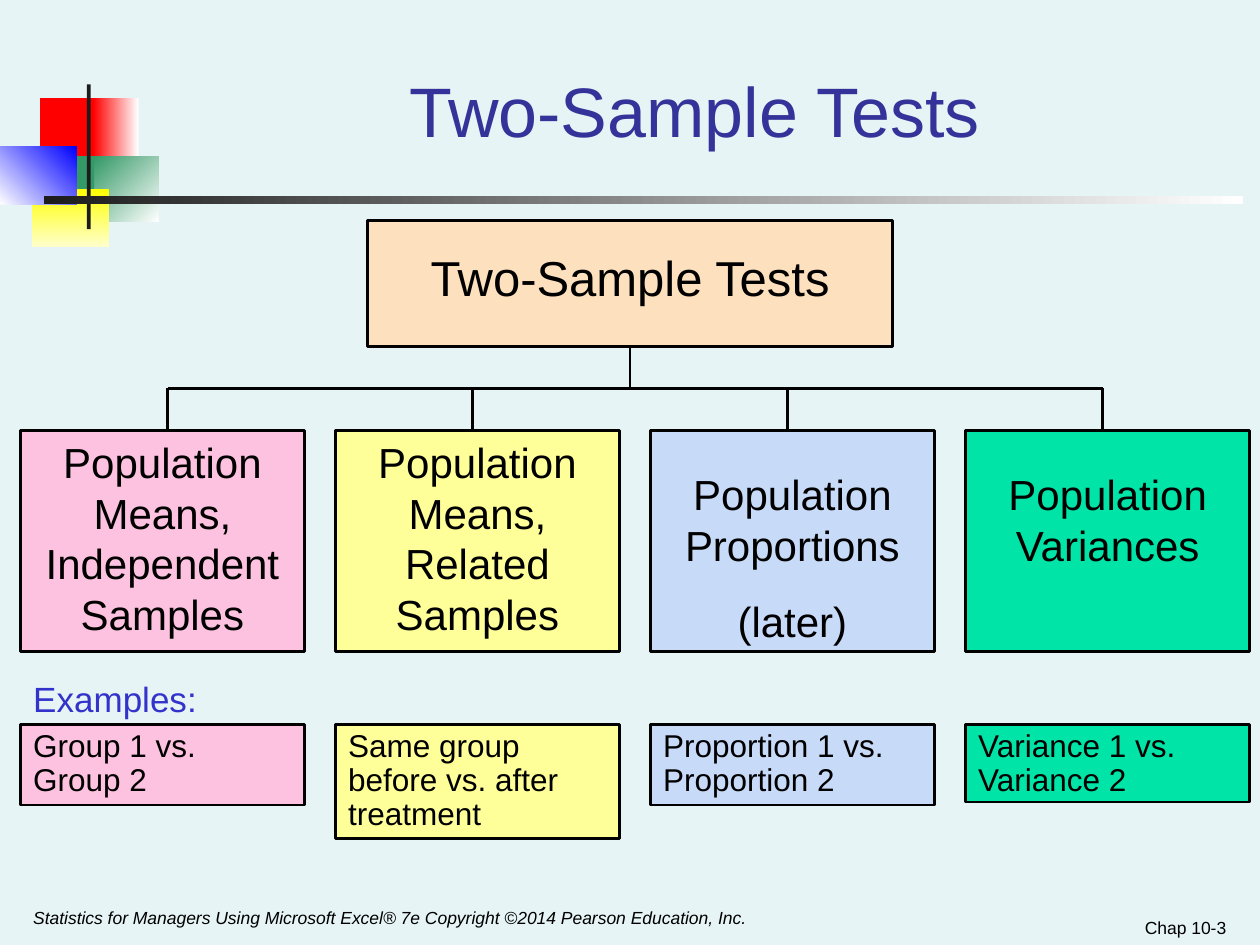
from dataclasses import dataclass
from typing import NamedTuple

from lxml import etree
from pptx import Presentation
from pptx.dml.color import RGBColor
from pptx.enum.shapes import MSO_CONNECTOR, MSO_SHAPE
from pptx.enum.text import MSO_ANCHOR, MSO_AUTO_SIZE, PP_ALIGN
from pptx.oxml.ns import qn
from pptx.util import Cm, Pt

RECTANGLE = MSO_SHAPE.RECTANGLE
STRAIGHT = MSO_CONNECTOR.STRAIGHT
TOP, BOTTOM = MSO_ANCHOR.TOP, MSO_ANCHOR.BOTTOM
LEFT, CENTER, RIGHT = PP_ALIGN.LEFT, PP_ALIGN.CENTER, PP_ALIGN.RIGHT
NO_AUTOFIT = MSO_AUTO_SIZE.NONE
TITLE_ONLY = 5


@dataclass(frozen=True)
class Theme:
    font: str = "Arial"
    background: str = "E7F4F5"
    ink: str = "000000"
    title: str = "333399"
    accent: str = "3333CC"
    root: str = "FDE0BD"
    pink: str = "FCC2E0"
    yellow: str = "FFFF99"
    blue: str = "C7DAF7"
    green: str = "00E4A8"
    outline: float = 1.5
    title_size: int = 40
    root_size: int = 28
    branch_size: int = 24
    heading_size: int = 20
    example_size: int = 18
    footer_size: int = 10


THEME = Theme()


class Box(NamedTuple):
    """Left, top, width and height in centimetres."""
    left: float
    top: float
    width: float
    height: float

    def lengths(self) -> list:
        return [Cm(value) for value in self]


class Para(NamedTuple):
    text: str
    before: float = 0
    spacing: float = 1.0


class Ornament(NamedTuple):
    box: Box
    colors: tuple[str, ...]
    angle: int = 0  # clockwise


class Branch(NamedTuple):
    color: str
    drop_x: float
    label_box: Box  # left is measured from the column's edge
    label: list[Para]
    example_height: float
    example: list[Para]


ORNAMENTS = [
    Ornament(Box(0.81, 1.98, 1.22, 1.32), ("FF0000",)),
    Ornament(Box(1.88, 1.98, 0.91, 1.32), ("FF0000", "FFFFFF")),
    Ornament(Box(1.9, 3.15, 1.3, 1.32), ("339966", "FFFFFF"), 45),
    Ornament(Box(1.09, 3.15, 0.81, 1.32), ("339966",)),
    Ornament(Box(0.64, 3.81, 1.55, 1.17), ("FFFF00", "FFFFCC"), 90),
    Ornament(Box(0, 2.95, 1.55, 1.17), ("FFFFFF", "0000FF"), 315),
    Ornament(Box(1.75, 1.7, 0.08, 2.92), ("1C1C1C",)),
    Ornament(Box(0.89, 3.96, 24.16, 0.15), ("1C1C1C", "FFFFFF")),
]

COLUMN_LEFT, COLUMN_PITCH, COLUMN_WIDTH = 0.42, 6.35, 5.72
ROOT_X, ROOT_BOTTOM = 12.7, 6.99
BUS_Y, BRANCH_TOP, BRANCH_HEIGHT = 7.83, 8.68, 4.45
EXAMPLE_TOP = 14.6

BRANCHES = [
    Branch(THEME.pink, 3.38, Box(0.21, 8.68, 5.29, 4.32),
           [Para("Population Means, Independent Samples")],
           1.63, [Para("Group 1 vs. Group 2", spacing=0.9)]),
    Branch(THEME.yellow, 9.53, Box(0.21, 8.68, 5.29, 4.32),
           [Para("Population Means, Related Samples")],
           2.31, [Para("Same group before vs. after treatment", spacing=0.9)]),
    Branch(THEME.blue, 15.88, Box(0.21, 9.32, 5.29, 3.84),
           [Para("Population Proportions"), Para("(later)", before=15)],
           1.63, [Para("Proportion 1 vs. Proportion 2", spacing=0.9)]),
    Branch(THEME.green, 22.23, Box(0, 9.32, 5.72, 2.29),
           [Para("Population Variances")],
           1.57, [Para("Variance 1 vs.", spacing=0.9),
                  Para("Variance 2", before=6.8, spacing=0.5)]),
]


def write(shape, paras: list[Para], size: int, color: str = THEME.ink,
          align=LEFT, anchor=TOP, italic: bool = False) -> None:
    frame = shape.text_frame
    frame_format = {
        "word_wrap": True, "auto_size": NO_AUTOFIT, "vertical_anchor": anchor,
        "margin_left": Cm(0.25), "margin_right": Cm(0.25),
        "margin_top": Cm(0.13), "margin_bottom": Cm(0.13),
    }
    for name, value in frame_format.items():
        setattr(frame, name, value)
    font_format = {"name": THEME.font, "size": Pt(size), "italic": italic}
    for index, para in enumerate(paras):
        paragraph = frame.add_paragraph() if index else frame.paragraphs[0]
        paragraph.alignment = align
        paragraph.line_spacing = para.spacing
        paragraph.space_before = Pt(para.before)
        run = paragraph.add_run()
        run.text = para.text
        for name, value in font_format.items():
            setattr(run.font, name, value)
        run.font.color.rgb = RGBColor.from_string(color)


def add_text(slide, box: Box, paras: list[Para], size: int, **options) -> None:
    write(slide.shapes.add_textbox(*box.lengths()), paras, size, **options)


def add_panel(slide, box: Box, color: str):
    panel = slide.shapes.add_shape(RECTANGLE, *box.lengths())
    panel.shadow.inherit = False
    panel.fill.solid()
    panel.fill.fore_color.rgb = RGBColor.from_string(color)
    panel.line.color.rgb = RGBColor.from_string(THEME.ink)
    panel.line.width = Pt(THEME.outline)
    return panel


def add_ornament(slide, ornament: Ornament) -> None:
    block = add_panel(slide, ornament.box, ornament.colors[0])
    block.line.fill.background()
    if len(ornament.colors) > 1:
        block.fill.gradient()
        block.fill.gradient_angle = -ornament.angle % 360
        for stop, color in zip(block.fill.gradient_stops, ornament.colors):
            stop.color.rgb = RGBColor.from_string(color)


def add_line(slide, x1: float, y1: float, x2: float, y2: float) -> None:
    line = slide.shapes.add_connector(STRAIGHT, Cm(x1), Cm(y1), Cm(x2), Cm(y2))
    line.line.color.rgb = RGBColor.from_string(THEME.ink)
    line.line.width = Pt(THEME.outline)
    etree.SubElement(line._element.spPr, qn("a:effectLst"))


def add_branch(slide, column: int, branch: Branch) -> None:
    left = COLUMN_LEFT + column * COLUMN_PITCH
    add_panel(slide, Box(left, BRANCH_TOP, COLUMN_WIDTH, BRANCH_HEIGHT), branch.color)
    label_box = branch.label_box._replace(left=left + branch.label_box.left)
    add_text(slide, label_box, branch.label, THEME.branch_size, align=CENTER)
    add_line(slide, branch.drop_x, BUS_Y, branch.drop_x, BRANCH_TOP)
    example = add_panel(
        slide, Box(left, EXAMPLE_TOP, COLUMN_WIDTH, branch.example_height), branch.color)
    write(example, branch.example, THEME.example_size)


def main() -> None:
    deck = Presentation()
    deck.slide_width, deck.slide_height = Cm(25.4), Cm(19.05)
    slide = deck.slides.add_slide(deck.slide_layouts[TITLE_ONLY])
    slide.background.fill.solid()
    slide.background.fill.fore_color.rgb = RGBColor.from_string(THEME.background)

    for ornament in ORNAMENTS:
        add_ornament(slide, ornament)

    title = slide.shapes.title
    title.left, title.top, title.width, title.height = Box(3.18, 1.27, 21.64, 1.9).lengths()
    write(title, [Para("Two-Sample Tests", spacing=0.8)], THEME.title_size,
          color=THEME.title, align=CENTER, anchor=BOTTOM)

    add_panel(slide, Box(7.41, 4.45, 10.58, 2.54), THEME.root)
    add_text(slide, Box(7.62, 4.87, 10.16, 1.45), [Para("Two-Sample Tests")],
             THEME.root_size, align=CENTER)
    add_line(slide, ROOT_X, ROOT_BOTTOM, ROOT_X, BUS_Y)
    add_line(slide, BRANCHES[0].drop_x, BUS_Y, BRANCHES[-1].drop_x, BUS_Y)
    for column, branch in enumerate(BRANCHES):
        add_branch(slide, column, branch)

    add_text(slide, Box(COLUMN_LEFT, 13.76, 4.23, 0.87), [Para("Examples:", spacing=0.7)],
             THEME.heading_size, color=THEME.accent)
    add_text(slide, Box(COLUMN_LEFT, 18.15, 15.88, 0.9),
             [Para("Statistics for Managers Using Microsoft Excel® 7e "
                   "Copyright ©2014 Pearson Education, Inc.")],
             THEME.footer_size, italic=True)
    add_text(slide, Box(19.05, 18.15, 5.92, 0.9), [Para("Chap 10-3")],
             THEME.footer_size, align=RIGHT, anchor=BOTTOM)
    deck.save("out.pptx")


if __name__ == "__main__":
    main()
